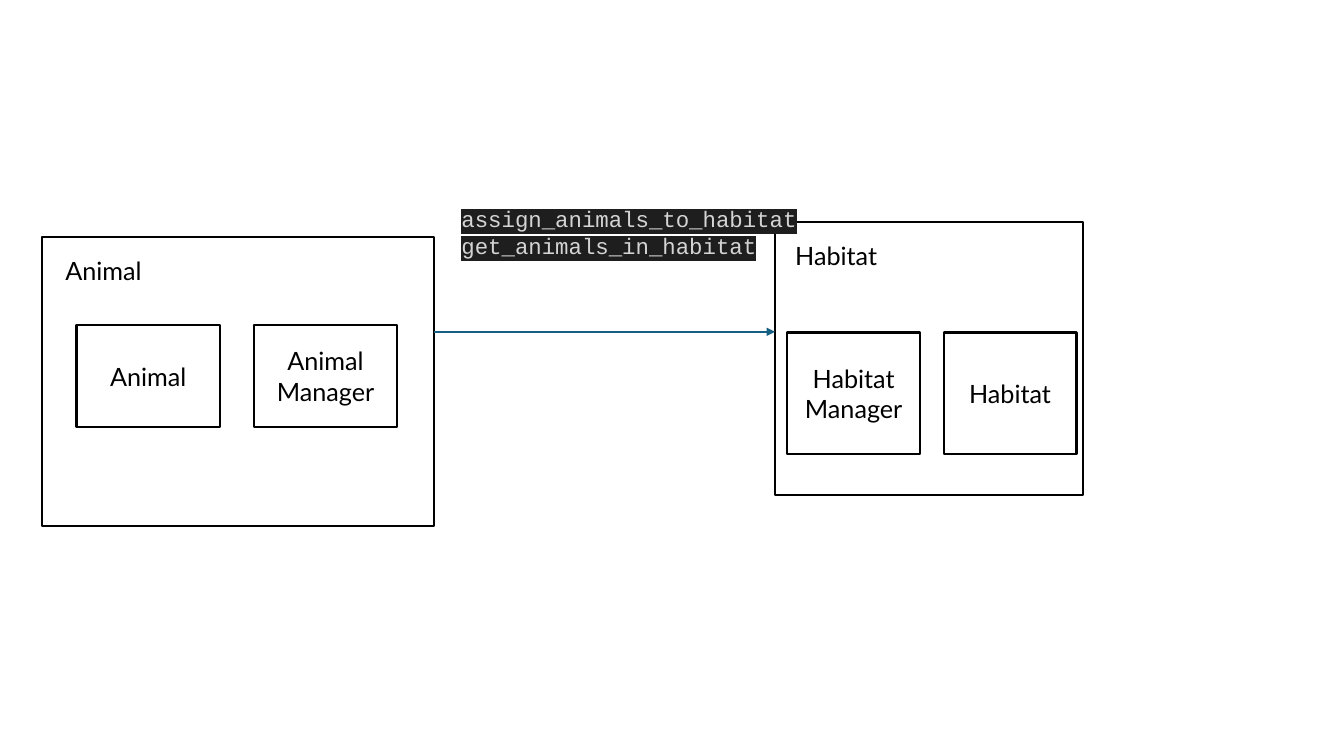
from dataclasses import dataclass

from lxml.etree import SubElement
from pptx import Presentation
from pptx.dml.color import RGBColor
from pptx.enum.shapes import MSO_CONNECTOR, MSO_SHAPE
from pptx.enum.text import MSO_ANCHOR, MSO_AUTO_SIZE, PP_ALIGN
from pptx.oxml.ns import qn
from pptx.shapes.autoshape import Shape
from pptx.shapes.shapetree import GroupShapes, SlideShapes
from pptx.text.text import Font, _Run
from pptx.util import Cm, Pt

COLORS = {
    "ink": "000000",
    "arrow": "156082",
    "code": "D4D4D4",
    "code_background": "1E1E1E",
}
LINE_WIDTH = Pt(1.5)


@dataclass(frozen=True)
class Box:
    """A rectangle in centimetres."""

    left: float
    top: float
    width: float
    height: float

    def lengths(self) -> tuple[Cm, Cm, Cm, Cm]:
        return Cm(self.left), Cm(self.top), Cm(self.width), Cm(self.height)


@dataclass(frozen=True)
class Module:
    """A titled frame holding a row of equal class boxes."""

    title: str
    frame: Box
    title_box: Box
    first_class: Box
    class_pitch: float
    classes: tuple[str, ...]


MODULES = (
    Module("Habitat", Box(19.53, 5.59, 7.77, 6.88), Box(19.79, 5.92, 2.57, 1.02),
           Box(19.84, 8.38, 3.35, 3.07), 3.94, ("Habitat Manager", "Habitat")),
    Module("Animal", Box(1.07, 5.97, 9.86, 7.29), Box(1.4, 6.32, 2.44, 1.02),
           Box(1.93, 8.18, 3.61, 2.59), 4.47, ("Animal", "Animal Manager")),
)
ARROW_START, ARROW_END, ARROW_Y = 10.93, 19.53, 8.36
CALLS_BOX = Box(11.38, 5.03, 16.94, 1.63)
CALLS = ("assign_animals_to_habitat", "get_animals_in_habitat")


def style_font(font: Font, name: str, size: float, color: str) -> None:
    font.name = name
    font.size = Pt(size)
    font.color.rgb = RGBColor.from_string(COLORS[color])


def add_outline(shapes: GroupShapes, box: Box) -> Shape:
    shape = shapes.add_shape(MSO_SHAPE.RECTANGLE, *box.lengths())
    shape.shadow.inherit = False
    shape.fill.background()
    shape.line.color.rgb = RGBColor.from_string(COLORS["ink"])
    shape.line.width = LINE_WIDTH
    return shape


def write_label(shape: Shape, text: str) -> None:
    paragraph = shape.text_frame.paragraphs[0]
    paragraph.text = text
    style_font(paragraph.font, "Lato", 18, "ink")


def add_class(shapes: GroupShapes, box: Box, name: str) -> None:
    shape = add_outline(shapes, box)
    write_label(shape, name)
    shape.text_frame.word_wrap = True
    shape.text_frame.vertical_anchor = MSO_ANCHOR.MIDDLE
    shape.text_frame.paragraphs[0].alignment = PP_ALIGN.CENTER


def add_module(shapes: SlideShapes, module: Module) -> None:
    members = shapes.add_group_shape().shapes
    add_outline(members, module.frame)
    title = members.add_textbox(*module.title_box.lengths())
    title.text_frame.word_wrap = False
    title.text_frame.auto_size = MSO_AUTO_SIZE.SHAPE_TO_FIT_TEXT
    write_label(title, module.title)
    first = module.first_class
    for index, name in enumerate(module.classes):
        left = first.left + index * module.class_pitch
        add_class(members, Box(left, first.top, first.width, first.height), name)


def add_arrow(shapes: SlideShapes) -> None:
    arrow = shapes.add_connector(MSO_CONNECTOR.STRAIGHT, Cm(ARROW_START), Cm(ARROW_Y),
                                 Cm(ARROW_END), Cm(ARROW_Y))
    arrow.line.color.rgb = RGBColor.from_string(COLORS["arrow"])
    arrow.line.width = LINE_WIDTH
    SubElement(arrow.line._get_or_add_ln(), qn("a:tailEnd"), type="triangle")
    SubElement(arrow._element.spPr, qn("a:effectLst"))


def highlight(run: _Run, color: str) -> None:
    """Put a marker colour behind the run, straight after its text fill."""
    properties = run.font._element
    marker = SubElement(properties, qn("a:highlight"))
    SubElement(marker, qn("a:srgbClr"), val=COLORS[color])
    properties.find(qn("a:solidFill")).addnext(marker)


def add_calls(shapes: SlideShapes) -> None:
    frame = shapes.add_textbox(*CALLS_BOX.lengths()).text_frame
    frame.word_wrap = True
    frame.auto_size = MSO_AUTO_SIZE.SHAPE_TO_FIT_TEXT
    frame.text = "\n".join(CALLS)
    for paragraph in frame.paragraphs:
        paragraph.line_spacing = Pt(19.4)
        run = paragraph.runs[0]
        style_font(run.font, "Courier New", 16, "code")
        highlight(run, "code_background")


def main() -> None:
    presentation = Presentation()
    presentation.slide_width, presentation.slide_height = Cm(33.87), Cm(19.05)
    slide = presentation.slides.add_slide(presentation.slide_layouts[6])
    for module in MODULES:
        add_module(slide.shapes, module)
    add_arrow(slide.shapes)
    add_calls(slide.shapes)
    presentation.save("out.pptx")


if __name__ == "__main__":
    main()
